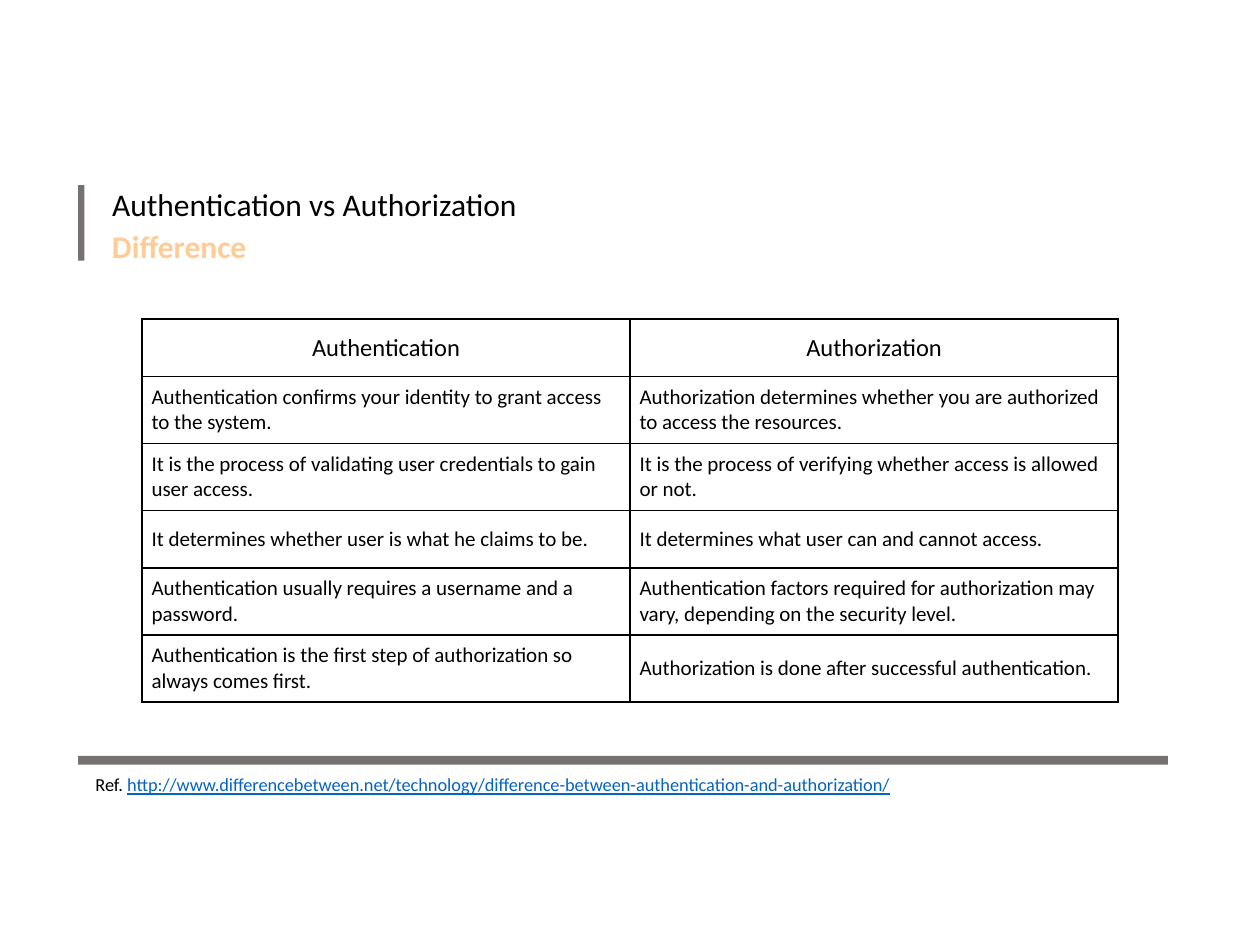
from lxml.etree import SubElement
from pptx import Presentation
from pptx.dml.color import RGBColor
from pptx.enum.shapes import MSO_SHAPE
from pptx.enum.text import MSO_ANCHOR, PP_ALIGN
from pptx.oxml.ns import qn
from pptx.util import Pt

BLACK, WHITE, GRAY, PEACH, BLUE = "000000", "FFFFFF", "767171", "FFCC98", "0563C1"

ROWS = [
    ("Authentication", "Authorization"),
    ("Authentication confirms your identity to grant access to the system.",
     "Authorization determines whether you are authorized to access the resources."),
    ("It is the process of validating user credentials to gain user access.",
     "It is the process of verifying whether access is allowed or not."),
    ("It determines whether user is what he claims to be.",
     "It determines what user can and cannot access."),
    ("Authentication usually requires a username and a password.",
     "Authentication factors required for authorization may vary, "
     "depending on the security level."),
    ("Authentication is the first step of authorization so always comes first.",
     "Authorization is done after successful authentication."),
]
ROW_HEIGHTS = [32.8, 38.3, 38.3, 32.8, 38.3, 38.3]


def color(value):
    return RGBColor.from_string(value)


def add_text(paragraph, text, size=12, fill=BLACK, bold=False, underline=False,
             font="Calibri", align=PP_ALIGN.LEFT):
    paragraph.alignment = align
    run = paragraph.add_run()
    run.text = text
    run.font.name, run.font.size = font, Pt(size)
    run.font.bold, run.font.underline = bold, underline
    run.font.color.rgb = color(fill)


class SlideBuilder:
    """Holds the current slide and the style shared by its elements."""
    border_width = 1
    cell_margins = (5.4, 2.7)

    def __init__(self, slide):
        self.slide = slide

    def title(self, text, left, top, width, height):
        shape = self.slide.shapes.title
        shape.left, shape.top, shape.width, shape.height = map(Pt, (left, top, width, height))
        frame = shape.text_frame
        frame.word_wrap = True
        frame.vertical_anchor = MSO_ANCHOR.BOTTOM
        frame.paragraphs[0].line_spacing = 0.9
        add_text(frame.paragraphs[0], text, size=18)

    def bar(self, left, top, width, height):
        shape = self.slide.shapes.add_shape(
            MSO_SHAPE.RECTANGLE, *map(Pt, (left, top, width, height)))
        shape.shadow.inherit = False
        shape.fill.solid()
        shape.fill.fore_color.rgb = color(GRAY)
        shape.line.fill.background()

    def text_box(self, runs, left, top, width, height, wrap=True):
        box = self.slide.shapes.add_textbox(*map(Pt, (left, top, width, height)))
        box.text_frame.word_wrap = wrap
        for text, style in runs:
            add_text(box.text_frame.paragraphs[0], text, **style)

    def borders(self, cell):
        properties = cell._tc.get_or_add_tcPr()
        for side in ("lnL", "lnR", "lnT", "lnB"):
            line = SubElement(properties, qn(f"a:{side}"), w=str(Pt(self.border_width)))
            fill = SubElement(line, qn("a:solidFill"))
            SubElement(fill, qn("a:srgbClr"), val=BLACK)

    def cell(self, cell, text, **style):
        side, edge = map(Pt, self.cell_margins)
        cell.margin_left = cell.margin_right = side
        cell.margin_top = cell.margin_bottom = edge
        cell.vertical_anchor = MSO_ANCHOR.MIDDLE
        self.borders(cell)
        cell.fill.solid()
        cell.fill.fore_color.rgb = color(WHITE)
        add_text(cell.text_frame.paragraphs[0], text, **style)

    def table(self, rows, heights, left, top, width):
        table = self.slide.shapes.add_table(
            len(rows), len(rows[0]), *map(Pt, (left, top, width, sum(heights)))).table
        for row, height in zip(table.rows, heights):
            row.height = Pt(height)
        for row_index, texts in enumerate(rows):
            style = {"size": 14, "align": PP_ALIGN.CENTER} if row_index == 0 else {}
            for column_index, text in enumerate(texts):
                self.cell(table.cell(row_index, column_index), text, **style)


def main():
    presentation = Presentation()
    presentation.slide_width, presentation.slide_height = Pt(720), Pt(540)
    builder = SlideBuilder(presentation.slides.add_slide(presentation.slide_layouts[5]))

    # Heading with its accent bar
    builder.title("Authentication vs Authorization", 56.9, 87.8, 313.9, 43.2)
    builder.bar(44.6, 105.8, 3.6, 43.2)
    builder.text_box([("Difference", {"size": 18, "fill": PEACH, "bold": True})],
                     56.9, 126, 176.4, 29)

    # Footer rule and reference
    builder.bar(44.6, 432, 622.8, 5)
    address = ("http://www.differencebetween.net/technology/"
               "difference-between-authentication-and-authorization/")
    builder.text_box([("Ref. ", {"size": 10.5}),
                      (address, {"size": 10.5, "fill": BLUE, "underline": True})],
                     47.5, 438.5, 480.2, 20.2, wrap=False)

    # Comparison table
    builder.table(ROWS, ROW_HEIGHTS, 81.2, 182.3, 557.8)

    presentation.save("out.pptx")


if __name__ == "__main__":
    main()
